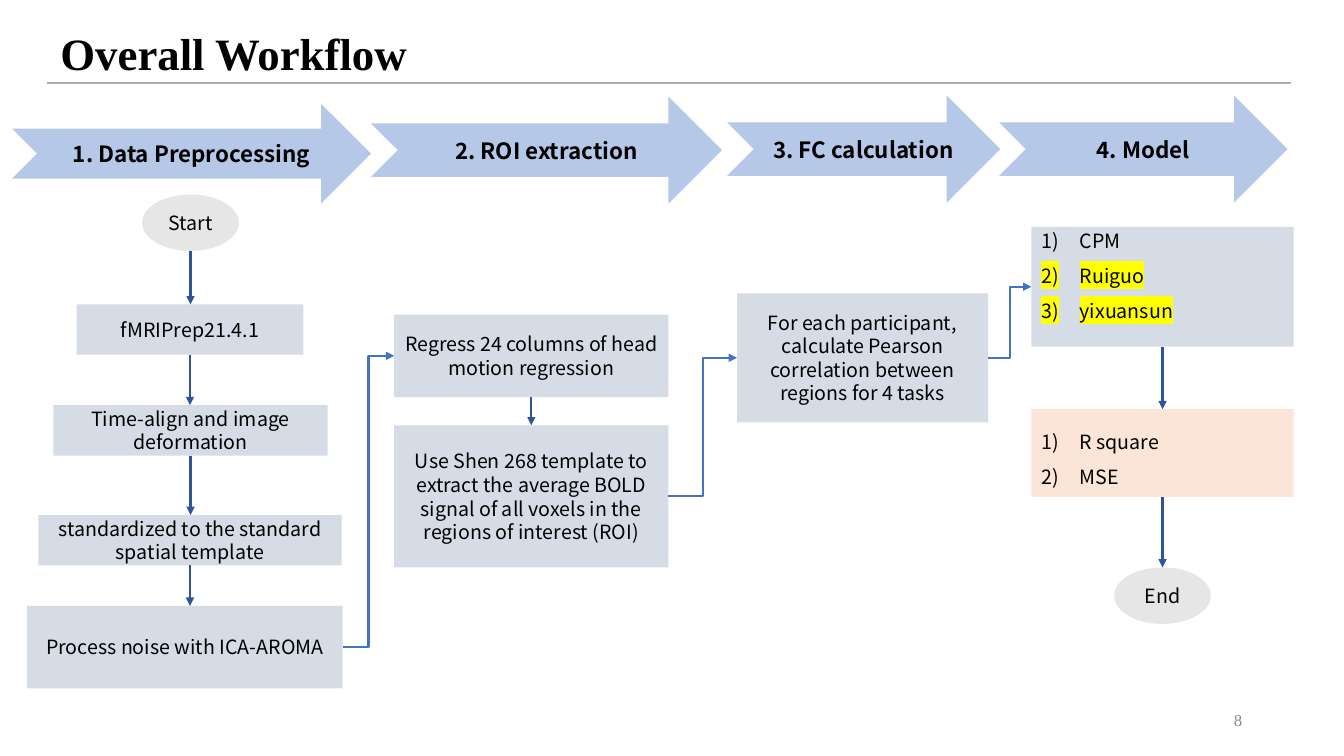
from dataclasses import dataclass
from itertools import pairwise

import lxml.etree
import pptx
import pptx.dml.color
import pptx.enum.shapes
import pptx.enum.text
import pptx.oxml.ns
import pptx.util

Inches = pptx.util.Inches
Pt = pptx.util.Pt
Shape = pptx.enum.shapes.MSO_SHAPE
Connector = pptx.enum.shapes.MSO_CONNECTOR
Anchor = pptx.enum.text.MSO_ANCHOR
Align = pptx.enum.text.PP_ALIGN
qn = pptx.oxml.ns.qn

SANS, SERIF = "Noto Sans CJK SC", "Times New Roman"
BLACK, GRAY_BLUE, PEACH, LIGHT_GRAY = "000000", "D6DCE5", "FBE5D6", "E7E6E6"
ARROW_BLUE, DARK_BLUE, MID_BLUE = "B6C8E8", "2F5597", "4472C4"


@dataclass(frozen=True)
class Node:
    left: float
    top: float
    width: float
    height: float
    text: str = ""
    fill: str = GRAY_BLUE
    kind: Shape = Shape.RECTANGLE
    bold: bool = False
    size: int = 14
    items: tuple[str, ...] = ()
    highlighted: tuple[str, ...] = ()
    bottom_gap: float | None = None

    @property
    def center(self) -> float:
        return self.left + self.width / 2

    @property
    def middle(self) -> float:
        return self.top + self.height / 2

    @property
    def bottom(self) -> float:
        return self.top + self.height

    @property
    def right(self) -> float:
        return self.left + self.width


def stage(left: float, top: float, width: float, height: float, text: str) -> Node:
    return Node(left, top, width, height, text, ARROW_BLUE,
                Shape.NOTCHED_RIGHT_ARROW, True, 16)


def terminal(left: float, top: float, text: str) -> Node:
    return Node(left, top, 0.96, 0.56, text, LIGHT_GRAY, Shape.OVAL)


STAGES = (
    stage(0.12, 1.03, 3.56, 0.99, "1. Data Preprocessing"),
    stage(3.68, 0.96, 3.48, 1.06, "2. ROI extraction"),
    stage(7.21, 0.95, 2.71, 1.06, "3. FC calculation"),
    stage(9.91, 0.95, 2.86, 1.06, "4. Model"),
)
PREPROCESSING = (
    terminal(1.41, 1.93, "Start"),
    Node(0.76, 3.02, 2.25, 0.5, "fMRIPrep21.4.1"),
    Node(0.53, 4.02, 2.72, 0.5, "Time-align and image deformation"),
    Node(0.38, 5.11, 3.01, 0.5, "standardized to the standard spatial template"),
    Node(0.27, 6.01, 3.13, 0.82, "Process noise with ICA-AROMA"),
)
ROI_EXTRACTION = (
    Node(3.91, 3.12, 2.72, 0.82, "Regress 24 columns of head motion regression"),
    Node(3.91, 4.22, 2.72, 1.41, "Use Shen 268 template to extract the average BOLD "
         "signal of all voxels in the regions of interest (ROI)"),
)
FC_CALCULATION = (
    Node(7.31, 2.91, 2.49, 1.28, "For each participant, calculate Pearson "
         "correlation between regions for 4 tasks"),
)
MODEL = (
    Node(10.23, 2.25, 2.6, 1.19, items=("CPM", "Ruiguo", "yixuansun"),
         highlighted=("Ruiguo", "yixuansun"), bottom_gap=0.24),
    Node(10.23, 4.06, 2.6, 0.87, fill=PEACH, items=("R square", "MSE")),
    terminal(11.05, 5.63, "End"),
)
COLUMNS = (PREPROCESSING, ROI_EXTRACTION, FC_CALCULATION, MODEL)


def color(value: str) -> pptx.dml.color.RGBColor:
    return pptx.dml.color.RGBColor.from_string(value)


def style_font(paragraph, face: str, size: int, value: str = BLACK,
               bold: bool = False) -> None:
    font = paragraph.font
    font.name, font.size, font.bold = face, Pt(size), bold
    font.color.rgb = color(value)


def number_paragraph(paragraph) -> None:
    paragraph.alignment = Align.LEFT
    paragraph.line_spacing = 1.5
    properties = paragraph._p.get_or_add_pPr()
    properties.set("marL", str(Inches(0.38)))
    properties.set("indent", str(-Inches(0.38)))
    lxml.etree.SubElement(properties, qn("a:buAutoNum"), type="arabicParenR")


def highlight(run) -> None:
    marker = lxml.etree.SubElement(run._r.get_or_add_rPr(), qn("a:highlight"))
    lxml.etree.SubElement(marker, qn("a:srgbClr"), val="FFFF00")


def draw_node(slide, node: Node) -> None:
    shape = slide.shapes.add_shape(node.kind, Inches(node.left), Inches(node.top),
                                   Inches(node.width), Inches(node.height))
    shape.shadow.inherit = False
    shape.fill.solid()
    shape.fill.fore_color.rgb = color(node.fill)
    shape.line.fill.background()
    frame = shape.text_frame
    frame.word_wrap = True
    frame.vertical_anchor = Anchor.MIDDLE
    if node.bottom_gap is not None:
        frame.vertical_anchor = Anchor.BOTTOM
        frame.margin_bottom = Inches(node.bottom_gap)
    for index, text in enumerate(node.items or (node.text,)):
        paragraph = frame.add_paragraph() if index else frame.paragraphs[0]
        run = paragraph.add_run()
        run.text = text
        if node.items:
            number_paragraph(paragraph)
        else:
            paragraph.alignment = Align.CENTER
        style_font(paragraph, SANS, node.size, bold=node.bold)
        if text in node.highlighted:
            highlight(run)


def draw_line(slide, kind: Connector, start: tuple[float, float],
              end: tuple[float, float], value: str, arrow: bool = True) -> None:
    line = slide.shapes.add_connector(kind, *map(Inches, start + end))
    line.line.color.rgb = color(value)
    line.line.width = Pt(1.5)
    if arrow:
        lxml.etree.SubElement(line.line._get_or_add_ln(), qn("a:tailEnd"),
                              type="triangle")
    lxml.etree.SubElement(line._element.spPr, qn("a:effectLst"))


def draw_label(slide, box: tuple[float, ...], text: str, size: int, value: str,
               align: Align, bold: bool = False) -> None:
    frame = slide.shapes.add_textbox(*map(Inches, box)).text_frame
    frame.word_wrap = True
    frame.vertical_anchor = Anchor.MIDDLE
    paragraph = frame.paragraphs[0]
    paragraph.text = text
    paragraph.alignment = align
    paragraph.line_spacing = 0.9
    style_font(paragraph, SERIF, size, value, bold)


def main() -> None:
    deck = pptx.Presentation()
    deck.slide_width, deck.slide_height = Inches(13.33), Inches(7.5)
    slide = deck.slides.add_slide(deck.slide_layouts[6])

    draw_line(slide, Connector.STRAIGHT, (0.47, 0.82), (12.8, 0.82), "AFABAB", False)
    draw_label(slide, (0.5, 0.28, 11.65, 0.55), "Overall Workflow", 32, BLACK,
               Align.LEFT, True)
    draw_label(slide, (9.42, 6.95, 3, 0.4), "8", 12, "8C8C8C", Align.RIGHT)

    for nodes in (STAGES, *COLUMNS):
        for node in nodes:
            draw_node(slide, node)
    for column in COLUMNS:
        for upper, lower in pairwise(column):
            draw_line(slide, Connector.STRAIGHT, (upper.center, upper.bottom),
                      (upper.center, lower.top), DARK_BLUE)
    for before, after in pairwise(COLUMNS):
        draw_line(slide, Connector.ELBOW, (before[-1].right, before[-1].middle),
                  (after[0].left, after[0].middle), MID_BLUE)

    deck.save("out.pptx")


if __name__ == "__main__":
    main()
